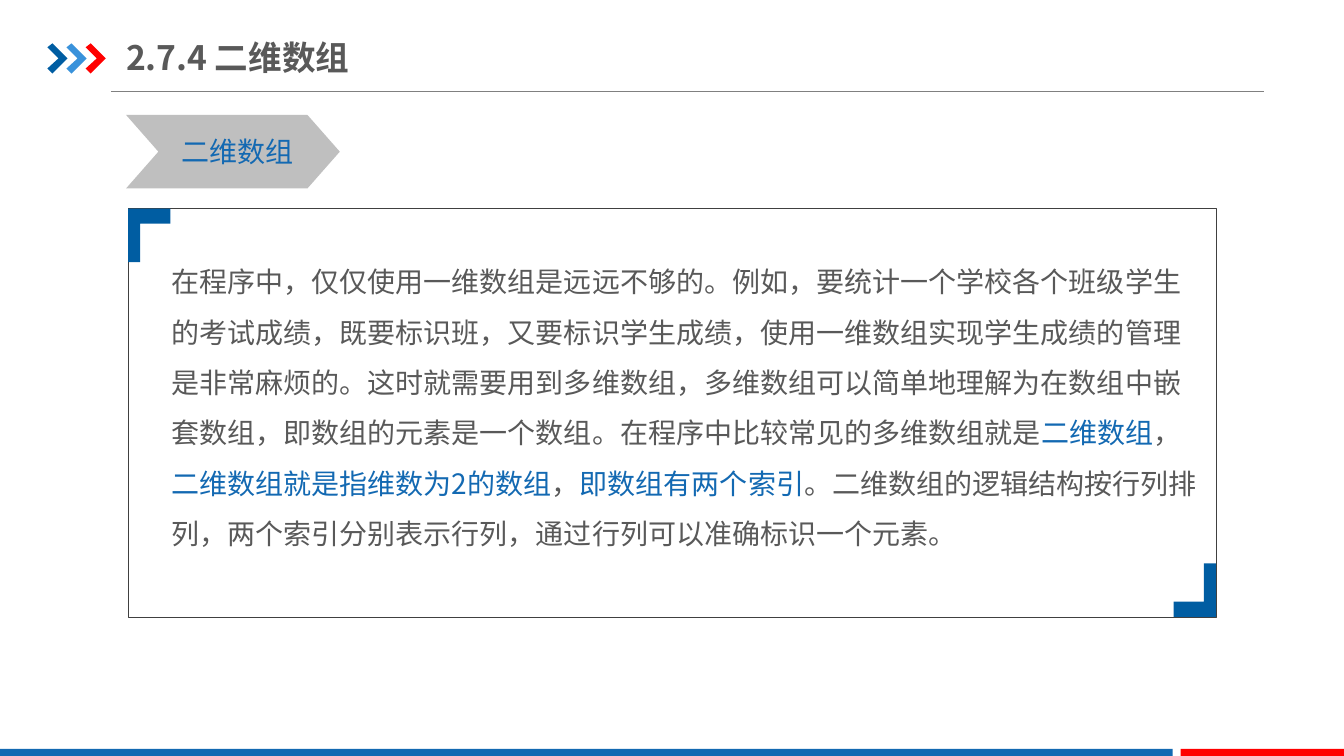
from lxml import etree
from pptx import Presentation
from pptx.dml.color import RGBColor
from pptx.enum.shapes import MSO_CONNECTOR, MSO_SHAPE
from pptx.enum.text import MSO_ANCHOR, MSO_AUTO_SIZE, PP_ALIGN
from pptx.oxml.ns import qn
from pptx.util import Inches, Pt

RECTANGLE = MSO_SHAPE.RECTANGLE
CHEVRON = MSO_SHAPE.CHEVRON
STRAIGHT = MSO_CONNECTOR.STRAIGHT
MIDDLE = MSO_ANCHOR.MIDDLE
LEFT = PP_ALIGN.LEFT
NO_AUTOFIT = MSO_AUTO_SIZE.NONE
FIT_SHAPE = MSO_AUTO_SIZE.SHAPE_TO_FIT_TEXT

FONT = "Noto Sans CJK SC"
NAVY = RGBColor(0x00, 0x5D, 0xA2)
SKY = RGBColor(0x39, 0x92, 0xDB)
BLUE = RGBColor(0x13, 0x69, 0xB2)
RED = RGBColor(0xFF, 0x00, 0x00)
TEXT_GRAY = RGBColor(0x59, 0x59, 0x59)
RULE_GRAY = RGBColor(0x80, 0x80, 0x80)
FRAME_GRAY = RGBColor(0x40, 0x40, 0x40)
LABEL_GRAY = RGBColor(0xBF, 0xBF, 0xBF)


def paint(shape, color):
    shape.shadow.inherit = False
    shape.fill.solid()
    shape.fill.fore_color.rgb = color
    shape.line.fill.background()


def set_font(paragraph, size, color, bold=False):
    font = paragraph.font
    font.name, font.size, font.bold = FONT, Pt(size), bold
    font.color.rgb = color
    defaults = paragraph._p.pPr.find(qn("a:defRPr"))
    etree.SubElement(defaults, qn("a:ea"), typeface=FONT)


presentation = Presentation()
presentation.slide_width = Inches(13.33)
presentation.slide_height = Inches(7.5)
slide = presentation.slides.add_slide(presentation.slide_layouts[5])
shapes = slide.shapes

# Header rule
rule = shapes.add_connector(STRAIGHT, Inches(1.1), Inches(0.91), Inches(12.54), Inches(0.91))
rule.line.color.rgb = RULE_GRAY
rule.line.width = Pt(0.75)
etree.SubElement(rule._element.spPr, qn("a:effectLst"))

# Three arrows before the title
ARROW = [(0, 0.04), (0.05, 0), (0.2, 0.15), (0.05, 0.3), (0, 0.25), (0.11, 0.15)]
for index, color in enumerate([NAVY, SKY, RED]):
    left = 0.47 + 0.19 * index
    points = [(Inches(left + x), Inches(0.43 + y)) for x, y in ARROW]
    builder = shapes.build_freeform(*points[0])
    builder.add_line_segments(points[1:])
    paint(builder.convert_to_shape(), color)

# Footer bars
for left, width, color in [(0, 11.63, BLUE), (11.71, 1.62, RED)]:
    bar = shapes.add_shape(RECTANGLE, Inches(left), Inches(7.43), Inches(width), Inches(0.07))
    paint(bar, color)

# Title
title = shapes.title
title.left, title.top = Inches(1.25), Inches(0.29)
title.width, title.height = Inches(5.49), Inches(0.55)
frame = title.text_frame
frame.text = "2.7.4 二维数组"
frame.auto_size = NO_AUTOFIT
frame.vertical_anchor = MIDDLE
frame.margin_left = frame.margin_right = 0
frame.margin_top = frame.margin_bottom = Inches(0.07)
frame.paragraphs[0].alignment = LEFT
set_font(frame.paragraphs[0], 24, TEXT_GRAY, bold=True)

# Section label
label = shapes.add_shape(CHEVRON, Inches(1.25), Inches(1.14), Inches(2.12), Inches(0.73))
label.adjustments[0] = 0.44
paint(label, LABEL_GRAY)
label_text = shapes.add_textbox(Inches(1.7), Inches(1.29), Inches(1.31), Inches(0.44))
label_text.text_frame.text = "二维数组"
label_text.text_frame.word_wrap = False
label_text.text_frame.auto_size = FIT_SHAPE
set_font(label_text.text_frame.paragraphs[0], 20, BLUE)

# Explanation, with key phrases in blue
EXPLANATION = [
    ("在程序中，仅仅使用一维数组是远远不够的。例如，要统计一个学校各个班级学生的考试成绩，"
     "既要标识班，又要标识学生成绩，使用一维数组实现学生成绩的管理是非常麻烦的。"
     "这时就需要用到多维数组，多维数组可以简单地理解为在数组中嵌套数组，"
     "即数组的元素是一个数组。在程序中比较常见的多维数组就是", TEXT_GRAY),
    ("二维数组", BLUE),
    ("，", TEXT_GRAY),
    ("二维数组就是指维数为2的数组", BLUE),
    ("，", TEXT_GRAY),
    ("即数组有两个索引", BLUE),
    ("。二维数组的逻辑结构按行列排列，两个索引分别表示行列，"
     "通过行列可以准确标识一个元素。", TEXT_GRAY),
]
explanation = shapes.add_textbox(Inches(1.6), Inches(2.41), Inches(10.41), Inches(3.13))
explanation.text_frame.word_wrap = True
explanation.text_frame.auto_size = FIT_SHAPE
paragraph = explanation.text_frame.paragraphs[0]
paragraph.line_spacing = 1.5
set_font(paragraph, 20, TEXT_GRAY)
for text, color in EXPLANATION:
    run = paragraph.add_run()
    run.text = text
    run.font.color.rgb = color

# Frame around the explanation
border = shapes.add_shape(RECTANGLE, Inches(1.27), Inches(2.07), Inches(10.79), Inches(4.05))
border.shadow.inherit = False
border.fill.background()
border.line.color.rgb = FRAME_GRAY
border.line.width = Pt(0.25)

# Corner marks, the second turned half round
CORNER = [(0, 0), (0.42, 0), (0.42, 0.15), (0.12, 0.15), (0.12, 0.53), (0, 0.53)]
for left, top, direction in [(1.27, 2.07, 1), (12.06, 6.12, -1)]:
    points = [(Inches(left + direction * x), Inches(top + direction * y)) for x, y in CORNER]
    builder = shapes.build_freeform(*points[0])
    builder.add_line_segments(points[1:])
    paint(builder.convert_to_shape(), NAVY)

presentation.save("out.pptx")
